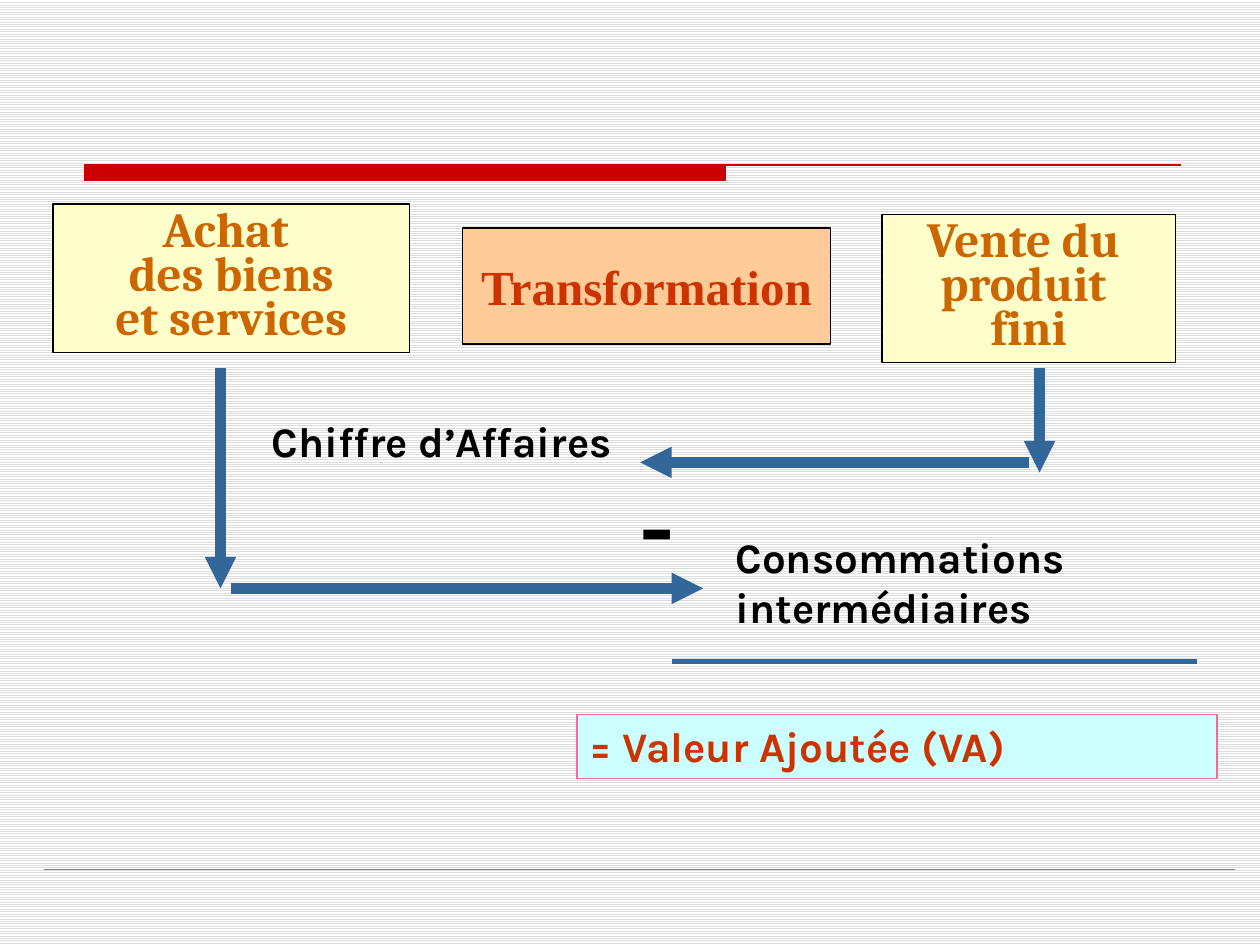
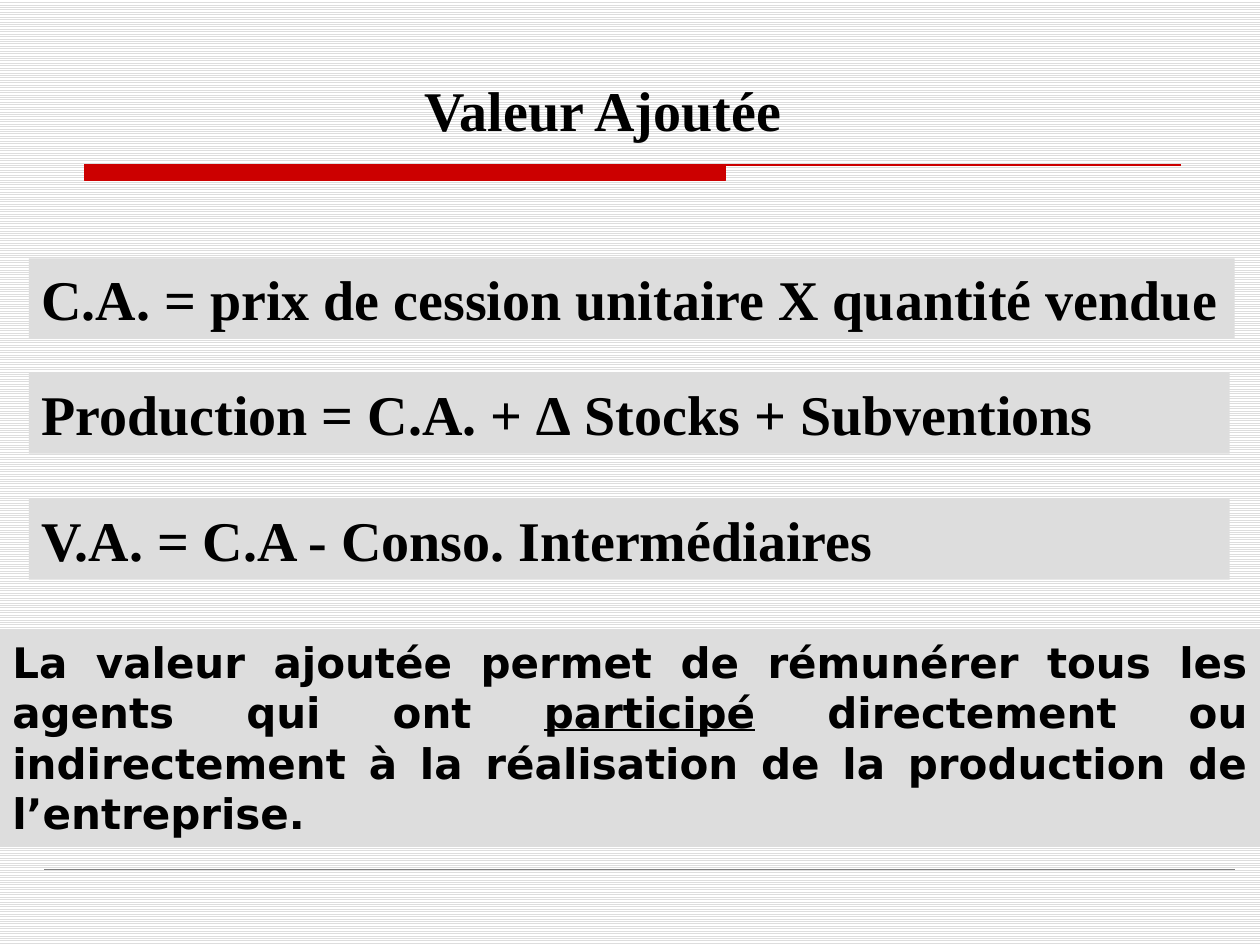
"""Builds two slides on how added value is formed and computed."""
from lxml import etree
from pptx import Presentation
from pptx.dml.color import RGBColor
from pptx.enum import dml, shapes, text
from pptx.oxml.ns import qn
from pptx.util import Inches, Pt

BLACK, WHITE = RGBColor(0, 0, 0), RGBColor(255, 255, 255)
GREY, RULE_GREY = RGBColor(0xDD, 0xDD, 0xDD), RGBColor(0x80, 0x80, 0x80)
RED, BRICK, OCHRE = RGBColor(0xCC, 0, 0), RGBColor(0xCC, 0x33, 0), RGBColor(0xCC, 0x66, 0)
CREAM, PEACH = RGBColor(0xFF, 0xFF, 0xCC), RGBColor(0xFF, 0xCC, 0x99)
AQUA, PINK = RGBColor(0xCC, 0xFF, 0xFF), RGBColor(0xFF, 0x66, 0x99)
BLUE = RGBColor(0x33, 0x66, 0x99)
SERIF, STEP_FONT, LABEL_FONT, NOTE_FONT = "Times New Roman", "Cambria", "Karla", "DejaVu Sans"
LEFT, CENTER, JUSTIFY = text.PP_ALIGN.LEFT, text.PP_ALIGN.CENTER, text.PP_ALIGN.JUSTIFY

STEPS = [
    (["Transformation"], (3.67, 1.81, 2.92, 0.92), PEACH, SERIF, BRICK, 1),
    (["Achat ", "des biens", "et services"], (0.42, 1.62, 2.83, 1.18), CREAM, STEP_FONT, OCHRE, 0.75),
    (["Vente du ", "produit ", "fini"], (7, 1.7, 2.33, 1.18), CREAM, STEP_FONT, OCHRE, 0.75),
]
ARROWS = [
    ((1.75, 2.92), (1.75, 4.67)),
    ((1.83, 4.67), (5.58, 4.67)),
    ((8.25, 2.92), (8.25, 3.75)),
    ((8.17, 3.67), (5.08, 3.67)),
]
LABELS = [
    (["Chiffre d’Affaires"], (2.06, 3.25, 3.03, 0.5), 24, False),
    (["Consommations ", "intermédiaires"], (5.74, 4.17, 3.17, 0.9), 24, True),
    (["-"], (4.98, 3.67, 0.52, 1), 54, False),
]
RESULT = "= Valeur Ajoutée (VA)"
TITLE = "Valeur Ajoutée"
FORMULAS = [
    ("C.A. = prix de cession unitaire X quantité vendue", 2.05, 9.57, False),
    ("Production = C.A. + ∆ Stocks + Subventions", 2.96, 9.53, True),
    ("V.A. = C.A - Conso. Intermédiaires", 3.96, 9.53, True),
]
NOTE = [
    ("La valeur ajoutée permet de rémunérer tous les agents qui ont ", False),
    ("participé", True),
    (" directement ou indirectement à la réalisation de la production de l’entreprise. ", False),
]


def inches(values):
    return [Inches(value) for value in values]


def write(holder, lines, font, size, color, align=LEFT, wrap=True, spacing=None, grow=True,
          anchor=text.MSO_ANCHOR.TOP):
    """Each line is a string or a list of (words, underlined) pairs."""
    frame = holder.text_frame
    frame.word_wrap = wrap
    frame.vertical_anchor = anchor
    frame.auto_size = text.MSO_AUTO_SIZE.SHAPE_TO_FIT_TEXT if grow else text.MSO_AUTO_SIZE.NONE
    for index, line in enumerate(lines):
        paragraph = frame.add_paragraph() if index else frame.paragraphs[0]
        paragraph.alignment = align
        if spacing:
            paragraph.line_spacing = spacing
        for words, underlined in [(line, False)] if isinstance(line, str) else line:
            run = paragraph.add_run()
            run.text = words
            run.font.name, run.font.size, run.font.bold = font, Pt(size), True
            run.font.color.rgb = color
            if underlined:
                run.font.underline = True


def add_box(slide, place, fill, outline=None):
    box = slide.shapes.add_shape(shapes.MSO_SHAPE.RECTANGLE, *inches(place))
    paint(box, fill, outline)
    return box


def paint(shape, fill, outline):
    shape.shadow.inherit = False
    shape.fill.solid()
    shape.fill.fore_color.rgb = fill
    if outline is None:
        shape.line.fill.background()
    else:
        shape.line.color.rgb = outline
        shape.line.width = Pt(0.75)


def add_line(slide, start, end, color, width, arrow=False):
    line = slide.shapes.add_connector(shapes.MSO_CONNECTOR.STRAIGHT, *inches(start + end))
    line.line.color.rgb = color
    line.line.width = Pt(width)
    properties = line.element.spPr
    if arrow:
        etree.SubElement(properties.find(qn("a:ln")), qn("a:tailEnd"), type="triangle")
    etree.SubElement(properties, qn("a:effectLst"))
    return line


def dress_master(master, slide):
    backdrop = master.background.fill
    backdrop.patterned()
    backdrop.pattern = dml.MSO_PATTERN.LIGHT_HORIZONTAL
    backdrop.fore_color.rgb, backdrop.back_color.rgb = GREY, WHITE
    left, top, middle, right, bottom = inches((0.67, 1.31, 5.76, 9.37, 1.43))
    outline = slide.shapes.build_freeform(left, top)
    outline.add_line_segments([(middle, top), (middle, bottom), (left, bottom)], close=True)
    outline.move_to(left, top)
    outline.add_line_segments([(right, top)], close=False)
    band = outline.convert_to_shape()
    paint(band, RED, RED)
    footer_rule = add_line(slide, (0.35, 6.9), (9.8, 6.9), RULE_GREY, 0.25)
    for part in (band, footer_rule):
        master.shapes.element.append(part.element)


def build_flow(slide):
    for lines, place, fill, font, color, spacing in STEPS:
        write(add_box(slide, place, fill, BLACK), lines, font, 28, color, CENTER, wrap=False,
              spacing=spacing, grow=False, anchor=text.MSO_ANCHOR.MIDDLE)
    for start, end in ARROWS:
        add_line(slide, start, end, BLUE, 6, arrow=True)
    for lines, place, size, wrap in LABELS:
        write(slide.shapes.add_textbox(*inches(place)), lines, LABEL_FONT, size, BLACK, wrap=wrap)
    add_line(slide, (5.33, 5.25), (9.5, 5.25), BLUE, 2.5)
    write(add_box(slide, (4.58, 5.67, 5.08, 0.51), AQUA, PINK), [RESULT], LABEL_FONT, 24, BRICK)


def build_formulas(slide):
    title = slide.shapes.title
    title.left, title.top, title.width, title.height = inches((3.27, 0.55, 3.1, 0.63))
    write(title, [TITLE], SERIF, 32, BLACK, wrap=False)
    for formula, top, width, wrap in FORMULAS:
        write(add_box(slide, (0.23, top, width, 0.64), GREY), [formula], SERIF, 32, BLACK, wrap=wrap)
    write(add_box(slide, (0, 5, 10, 1.72), GREY), [NOTE], NOTE_FONT, 24, BLACK, JUSTIFY)


deck = Presentation()
deck.slide_width, deck.slide_height = inches((10, 7.5))
title_only, blank = deck.slide_layouts[5], deck.slide_layouts[6]
flow = deck.slides.add_slide(blank)
dress_master(deck.slide_master, flow)
build_flow(flow)
build_formulas(deck.slides.add_slide(title_only))
deck.save("out.pptx")
